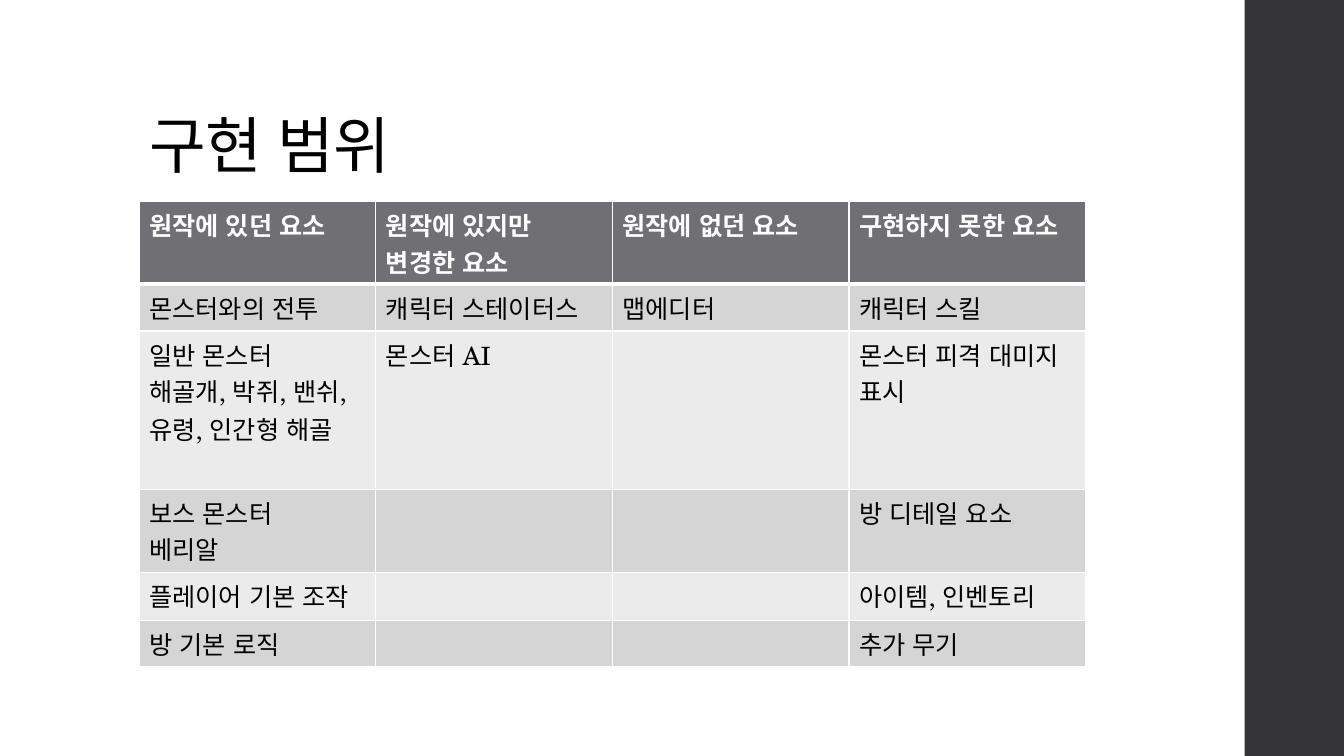
from dataclasses import dataclass

from lxml.etree import SubElement
from pptx import Presentation
from pptx.dml.color import RGBColor
from pptx.enum.lang import MSO_LANGUAGE_ID
from pptx.enum.shapes import MSO_SHAPE
from pptx.enum.text import MSO_ANCHOR
from pptx.oxml.ns import qn
from pptx.util import Pt

FACE = "TeX Gyre Schola"
WHITE, BLACK = "FFFFFF", "000000"
LEFT = 99.5
COL_W = 169


@dataclass
class Style:
    size: float
    color: str
    bold: bool = False


@dataclass
class Row:
    height: float
    texts: tuple[str, ...]
    fill: str
    style: Style
    rule: float = 1


TITLE = Style(44, BLACK)
HEAD = Style(18, WHITE, True)
BODY = Style(18, BLACK)
BANDS = "D5D5D6", "EBEBEB"
HEADS = "원작에 있던 요소", "원작에 있지만 변경한 요소", "원작에 없던 요소", "구현하지 못한 요소"
ITEMS = [
    (33.5, ("몬스터와의 전투", "캐릭터 스테이터스", "맵에디터", "캐릭터 스킬")),
    (113, ("일반 몬스터\n해골개, 박쥐, 밴쉬, 유령, 인간형 해골", "몬스터 AI", "", "몬스터 피격 대미지 표시")),
    (59.5, ("보스 몬스터\n베리알", "", "", "방 디테일 요소")),
    (34, ("플레이어 기본 조작", "", "", "아이템, 인벤토리")),
    (33.5, ("방 기본 로직", "", "", "추가 무기")),
]
ROWS = [Row(59, HEADS, "6F6F74", HEAD, 3)] + [
    Row(height, texts, BANDS[i % 2], BODY) for i, (height, texts) in enumerate(ITEMS)
]


def paint(fill, color: str) -> None:
    fill.solid()
    fill.fore_color.rgb = RGBColor.from_string(color)


def write(frame, text: str, style: Style) -> None:
    frame.text = text
    for para in frame.paragraphs:
        font = para.font
        font.name, font.size, font.bold = FACE, Pt(style.size), style.bold
        paint(font.fill, style.color)
        for run in para.runs:
            run.font.language_id = MSO_LANGUAGE_ID.KOREAN


def edge(cell, side: str, width: float) -> None:
    line = SubElement(cell._tc.get_or_add_tcPr(), qn(f"a:{side}"), w=str(Pt(width)))
    fill = SubElement(line, qn("a:solidFill"))
    SubElement(fill, qn("a:srgbClr"), val=WHITE)


def add_bar(slide) -> None:
    bar = slide.shapes.add_shape(MSO_SHAPE.RECTANGLE, Pt(889), Pt(0), Pt(71), Pt(540))
    bar.shadow.inherit = False
    paint(bar.fill, "353537")
    bar.line.fill.background()


def add_title(slide) -> None:
    frame = slide.shapes.add_textbox(Pt(LEFT), Pt(29), Pt(763), Pt(104.5)).text_frame
    frame.word_wrap = True
    frame.vertical_anchor = MSO_ANCHOR.BOTTOM
    write(frame, "구현 범위", TITLE)
    para = frame.paragraphs[0]
    para.line_spacing = 0.9
    para.runs[0]._r.get_or_add_rPr().set("spc", "-50")


def add_grid(slide, rows: list[Row]) -> None:
    count = len(HEADS)
    total = sum(row.height for row in rows)
    table = slide.shapes.add_table(
        len(rows), count, Pt(LEFT), Pt(144), Pt(COL_W * count), Pt(total)
    ).table
    for col in table.columns:
        col.width = Pt(COL_W)
    for i, row in enumerate(rows):
        table.rows[i].height = Pt(row.height)
        above = rows[i - 1].rule if i else 1
        for cell, text in zip(table.rows[i].cells, row.texts):
            write(cell.text_frame, text, row.style)
            for side, width in ("lnL", 1), ("lnR", 1), ("lnT", above), ("lnB", row.rule):
                edge(cell, side, width)
            paint(cell.fill, row.fill)


def main() -> None:
    deck = Presentation()
    deck.slide_width, deck.slide_height = Pt(960), Pt(540)
    slide = deck.slides.add_slide(deck.slide_layouts[6])
    add_bar(slide)
    add_title(slide)
    add_grid(slide, ROWS)
    deck.save("out.pptx")


if __name__ == "__main__":
    main()
